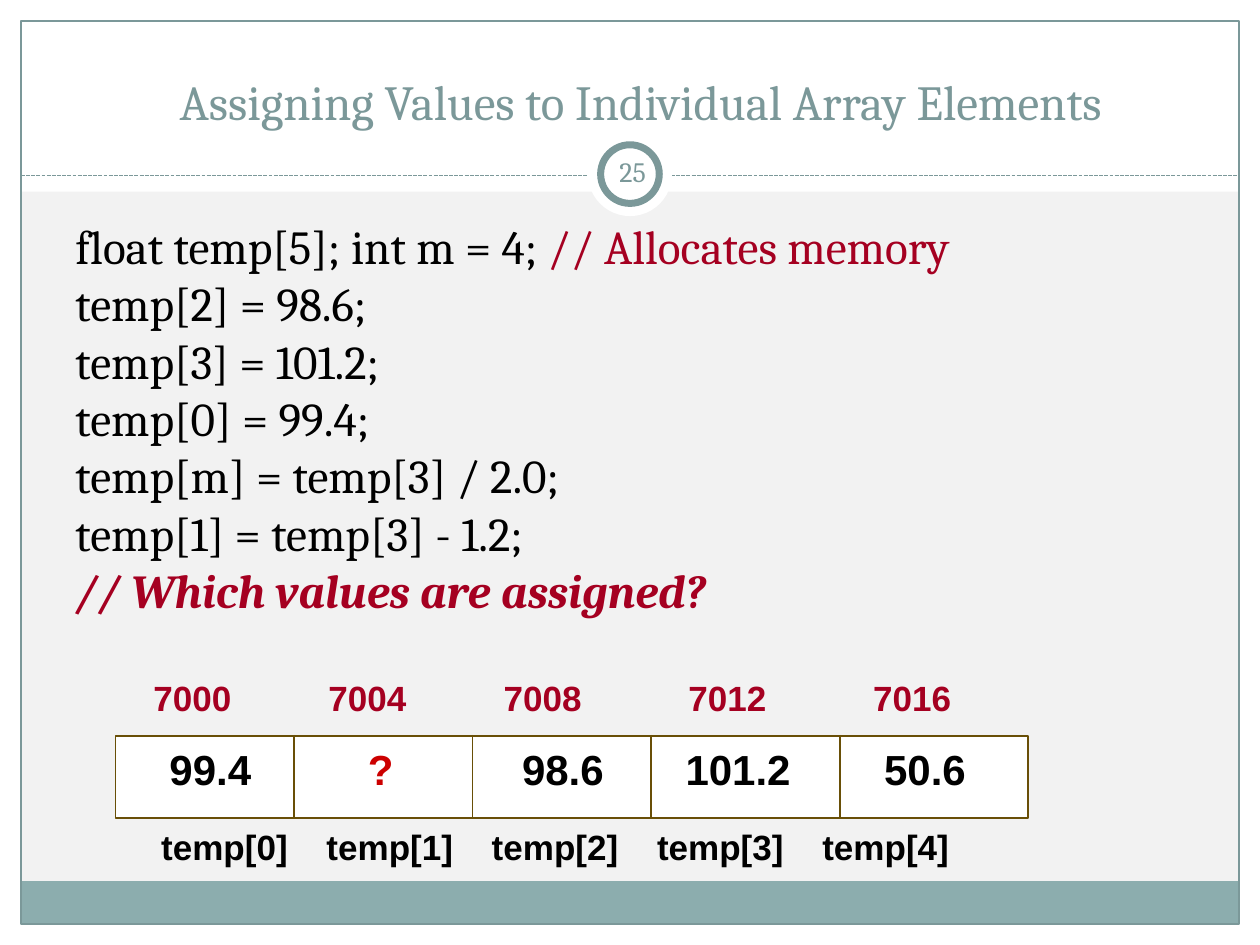
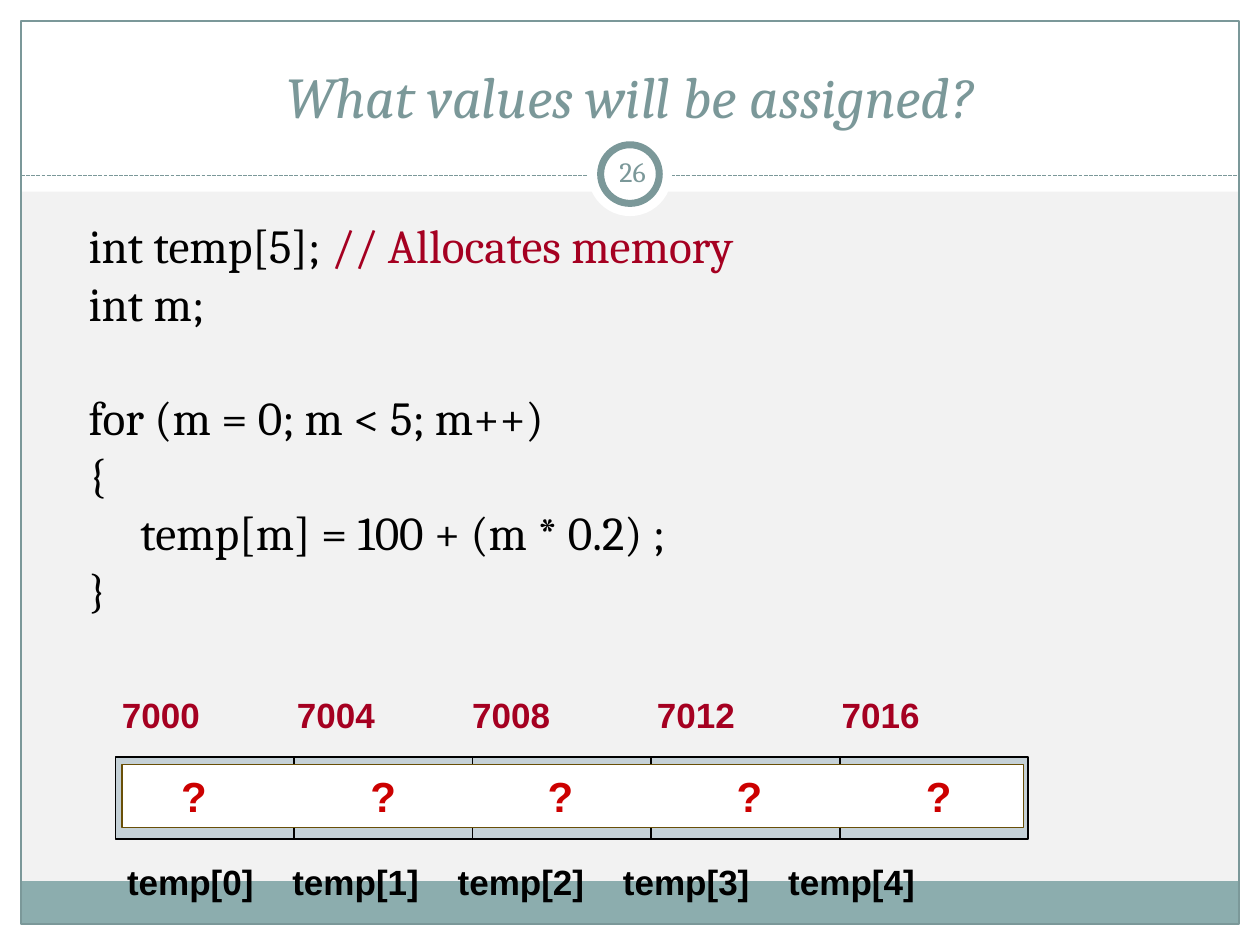
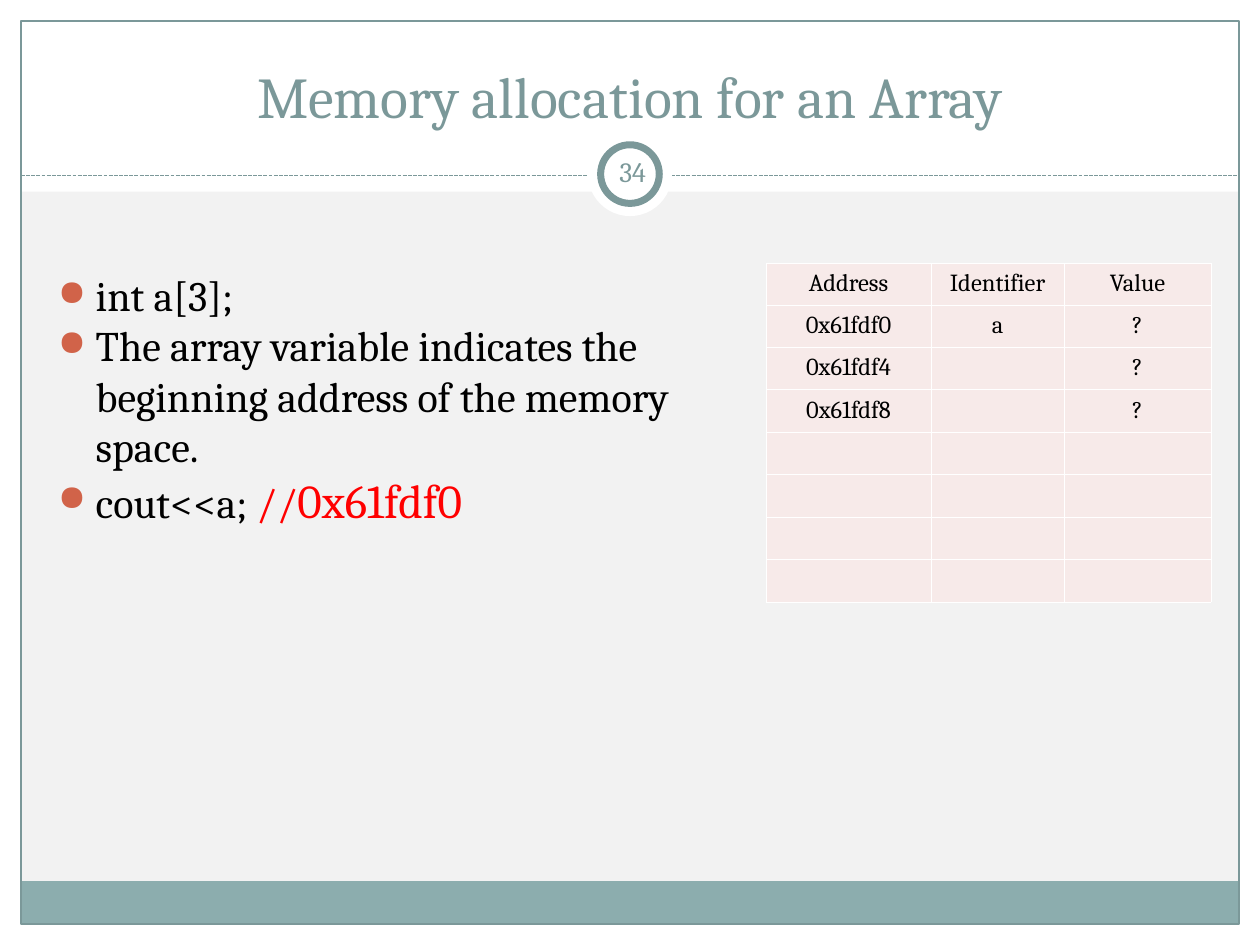
from lxml import etree
from pptx import Presentation
from pptx.dml.color import RGBColor
from pptx.enum.dml import MSO_LINE
from pptx.enum.shapes import MSO_CONNECTOR, MSO_SHAPE
from pptx.enum.text import MSO_ANCHOR, MSO_AUTO_SIZE, PP_ALIGN
from pptx.oxml.ns import qn
from pptx.util import Pt

RECT, OVAL = MSO_SHAPE.RECTANGLE, MSO_SHAPE.OVAL
LINE, DASH = MSO_CONNECTOR.STRAIGHT, MSO_LINE.SQUARE_DOT
LEFT, MID = PP_ALIGN.LEFT, PP_ALIGN.CENTER
TOP, CENTER, LOW = MSO_ANCHOR.TOP, MSO_ANCHOR.MIDDLE, MSO_ANCHOR.BOTTOM
FIXED = MSO_AUTO_SIZE.NONE

# Colours and fonts
WHITE, BLACK, GREY, TEAL, BAND = "FFFFFF", "000000", "F2F2F2", "7B9899", "8CADAE"
WINE, RED, PURE, GOLD = "A50021", "CC0000", "FF0000", "694F07"
STEEL, ROSE, RUST = "C5D1D7", "F7EAE9", "D16349"
SERIF, SANS = "Cambria", "Arial"

# Frame: kind, box, fill, line, line width
FRAME = [
    (RECT, (0, 528, 720, 12), WHITE, None, 0),
    (RECT, (0, 0, 720, 109.5), WHITE, None, 0),
    (RECT, (0, 0, 12, 540), WHITE, None, 0),
    (RECT, (708, 0, 12, 540), WHITE, None, 0),
    (RECT, (11.75, 503.5, 696, 24.5), BAND, None, 0),
    (RECT, (12, 12, 696, 516), None, TEAL, 0.75),
    (LINE, (12, 100.5, 708, 100.5), None, TEAL, 0.75),
    (OVAL, (336, 75.5, 48, 48), WHITE, None, 0),
    (OVAL, (343.25, 82.75, 33.5, 33.5), WHITE, TEAL, 4),
]

# Content
NOTE = ("// Allocates memory", {"color": WINE})
GAP = 6.8       # space between code lines
BLANK = 39.5    # space that skips one code line

ASSIGN = [
    (0, [("float temp[5];", {}), (" ", {"size": 28}), ("int m = 4; ", {}), NOTE]),
    (GAP, [("temp[2] = 98.6;", {})]),
    (GAP, [("temp[3] = 101.2;", {})]),
    (GAP, [("temp[0] = 99.4;", {})]),
    (GAP, [("temp[m] = temp[3] / 2.0;", {})]),
    (GAP, [("temp[1] = temp[3] - 1.2;", {})]),
    (GAP, [("// Which values are assigned?",
            {"color": WINE, "bold": True, "italic": True})]),
]
LOOP = [
    (0, [("int temp[5];", {}), (" ", {"size": 28}), NOTE]),
    (GAP, [("int m;", {})]),
    (BLANK, [("for (m = 0; m < 5; m++)", {})]),
    (GAP, [("{", {})]),
    (GAP, [("     temp[m] = 100 + (m * 0.2) ;", {})]),
    (GAP, [("}", {})]),
]
POINTS = [
    [("int a[3];", {})],
    [("The array variable indicates the beginning address of the memory space.", {})],
    [("cout<<a; ", {}), ("//", {"color": PURE}),
     ("0x61fdf0", {"color": PURE, "size": 27})],
]

NAMES = [f"temp[{i}]" for i in range(5)]
SPOTS = [str(7000 + 4 * i) for i in range(5)]
VALUES = ["99.4", "?", "98.6", "101.2", "50.6"]
NAME_TABS = [94.45 * i for i in range(5)]
SPOT_TABS = [5.6, 105.6, 205.7, 311.3, 416.9]
VALUE_TABS = [20, 133.4, 221.5, 314.9, 428.4]
ASK_TABS = [26.7, 134.8, 236.1, 344.1, 452.2]
SPLITS = [168, 270, 372, 480]

MEMORY = [
    ("Address", "Identifier", "Value"),
    ("0x61fdf0", "a", "?"),
    ("0x61fdf4", "", "?"),
    ("0x61fdf8", "", "?"),
] + [("", "", "")] * 4
COLS, ROW = (94.25, 76.25, 83.75), 24


def rgb(code):
    return RGBColor.from_string(code)


def place(box):
    return [Pt(v) for v in box]


def style(font, form):
    for key, val in form.items():
        if key == "color":
            font.color.rgb = rgb(val)
        else:
            setattr(font, key, Pt(val) if key == "size" else val)


def paint(shape, fill, line, width):
    if fill:
        shape.fill.solid()
        shape.fill.fore_color.rgb = rgb(fill)
    else:
        shape.fill.background()
    if line:
        shape.line.color.rgb = rgb(line)
        shape.line.width = Pt(width)
    else:
        shape.line.fill.background()


def draw(slide, kind, box, fill, line, width):
    shape = slide.shapes.add_shape(kind, *place(box))
    shape.shadow.inherit = False
    paint(shape, fill, line, width)
    return shape


def rule(slide, ends, color, width):
    line = slide.shapes.add_connector(LINE, *place(ends))
    line.line.color.rgb = rgb(color)
    line.line.width = Pt(width)
    etree.SubElement(line._element.spPr, qn("a:effectLst"))
    return line


def setup(frame, anchor=TOP, side=7.2):
    form = {"word_wrap": True, "auto_size": FIXED, "vertical_anchor": anchor,
            "margin_left": Pt(side), "margin_right": Pt(side),
            "margin_top": Pt(3.6), "margin_bottom": Pt(3.6)}
    for key, val in form.items():
        setattr(frame, key, val)


def write(par, runs, base, align=LEFT):
    par.alignment = align
    for text, form in runs:
        run = par.add_run()
        run.text = text
        style(run.font, base | form)


def textbox(slide, box, anchor=TOP, side=7.2):
    shape = slide.shapes.add_textbox(*place(box))
    setup(shape.text_frame, anchor, side)
    return shape


def lines(frame, count):
    return [frame.paragraphs[0]] + [frame.add_paragraph() for _ in range(count - 1)]


def build_frame(slide, layout):
    """Draw the shared frame once and hand it to the layout."""
    layout.background.fill.solid()
    layout.background.fill.fore_color.rgb = rgb(GREY)
    for hold in list(layout.placeholders)[1:]:
        hold._element.getparent().remove(hold._element)
    for kind, box, fill, line, width in FRAME:
        if kind is LINE:
            part = rule(slide, box, line, width)
            part.line.dash_style = DASH
        else:
            part = draw(slide, kind, box, fill, line, width)
        layout.shapes._spTree.append(part._element)


def head(slide, text, box, number, size=33, italic=False):
    title = slide.shapes.title
    title.left, title.top, title.width, title.height = place(box)
    setup(title.text_frame, LOW)
    base = {"name": SERIF, "color": TEAL}
    write(title.text_frame.paragraphs[0],
          [(text, {"size": size, "italic": italic})], base, MID)
    badge = textbox(slide, (343.5, 80.75, 36, 34.5), CENTER, 3.6)
    write(badge.text_frame.paragraphs[0], [(number, {"size": 16})], base, MID)


def code(slide, box, rows):
    frame = textbox(slide, box).text_frame
    for par, (gap, runs) in zip(lines(frame, len(rows)), rows):
        par.line_spacing = 0.8
        par.space_before = Pt(gap)
        write(par, runs, {"name": SERIF, "size": 27, "color": BLACK})


def cells(slide, top, fill, line):
    draw(slide, RECT, (66, top + 0.5, 521.5, 47), fill, line, 1)
    for x in SPLITS:
        rule(slide, (x, top, x, top + 48), line, 1)


def labels(slide, box, words, tabs, size, color):
    """One row of words, each set at its own tab stop."""
    shape = textbox(slide, box)
    par = shape.text_frame.paragraphs[0]
    stops = etree.SubElement(par._p.get_or_add_pPr(), qn("a:tabLst"))
    for tab in tabs:
        if tab:
            etree.SubElement(stops, qn("a:tab"), pos=str(int(Pt(tab))), algn="l")
    runs = [(("\t" if tab else "") + word, {"color": RED} if word == "?" else {})
            for word, tab in zip(words, tabs)]
    write(par, runs, {"name": SANS, "size": size, "bold": True, "color": color})
    return shape


def bullets(slide, box, rows):
    frame = textbox(slide, box).text_frame
    for par, runs in zip(lines(frame, len(rows)), rows):
        props = par._p.get_or_add_pPr()
        props.set("marL", str(int(Pt(21.6))))
        props.set("indent", str(int(Pt(-21.6))))
        tint = etree.SubElement(props, qn("a:buClr"))
        etree.SubElement(tint, qn("a:srgbClr"), val=RUST)
        etree.SubElement(props, qn("a:buSzPct"), val="85000")
        etree.SubElement(props, qn("a:buChar"), char="●")
        write(par, runs, {"name": SERIF, "size": 24, "color": BLACK})


def edge(cell):
    props = cell._tc.get_or_add_tcPr()
    for i, side in enumerate(("lnL", "lnR", "lnT", "lnB")):
        line = etree.Element(qn("a:" + side), w=str(int(Pt(0.45))))
        fill = etree.SubElement(line, qn("a:solidFill"))
        etree.SubElement(fill, qn("a:srgbClr"), val=WHITE)
        props.insert(i, line)


def grid(slide, left, top, rows):
    box = (left, top, sum(COLS), ROW * len(rows))
    table = slide.shapes.add_table(len(rows), len(COLS), *place(box)).table
    for col, width in zip(table.columns, COLS):
        col.width = Pt(width)
    for r, row in enumerate(rows):
        table.rows[r].height = Pt(ROW)
        for c, text in enumerate(row):
            cell = table.cell(r, c)
            cell.fill.solid()
            cell.fill.fore_color.rgb = rgb(ROSE)
            cell.margin_left = cell.margin_right = Pt(5)
            edge(cell)
            par = cell.text_frame.paragraphs[0]
            if text:
                write(par, [(text, {})],
                      {"name": SERIF, "size": 14, "color": BLACK, "bold": False}, MID)
            else:
                etree.SubElement(par._p, qn("a:endParaRPr"), sz="1400")


def main():
    deck = Presentation()
    deck.slide_width, deck.slide_height = Pt(720), Pt(540)
    layout = deck.slide_layouts[5]
    one, two, three = [deck.slides.add_slide(layout) for _ in range(3)]
    build_frame(one, layout)

    # Single assignments
    head(one, "Assigning Values to Individual Array Elements",
         (12, 24, 708, 54), "25", size=28)
    code(one, (36, 126, 594, 234), ASSIGN)
    cells(one, 420, WHITE, GOLD)
    labels(one, (85, 468, 466, 31), NAMES, NAME_TABS, 20, BLACK)
    labels(one, (75, 383, 521, 31), SPOTS, SPOT_TABS, 20, WINE)
    labels(one, (69.75, 421.25, 515, 36), VALUES, VALUE_TABS, 24, BLACK)

    # Assignment in a loop
    head(two, "What values will be assigned?", (24, 18, 672, 60), "26", italic=True)
    code(two, (43.5, 125.5, 636, 240), LOOP)
    cells(two, 432, STEEL, BLACK)
    labels(two, (65.5, 488.25, 466, 31), NAMES, NAME_TABS, 20, BLACK)
    labels(two, (57, 392.5, 521, 31), SPOTS, SPOT_TABS, 20, WINE)
    asks = labels(two, (69.75, 437, 515, 36), ["?"] * 5, ASK_TABS, 24, RED)
    paint(asks, WHITE, GOLD, 0.75)

    # Memory table
    head(three, "Memory allocation for an Array", (49.5, 22.5, 621, 55.5), "34")
    bullets(three, (26, 150.5, 406, 335.5), POINTS)
    grid(three, 437.75, 150.5, MEMORY)

    deck.save("out.pptx")


if __name__ == "__main__":
    main()
